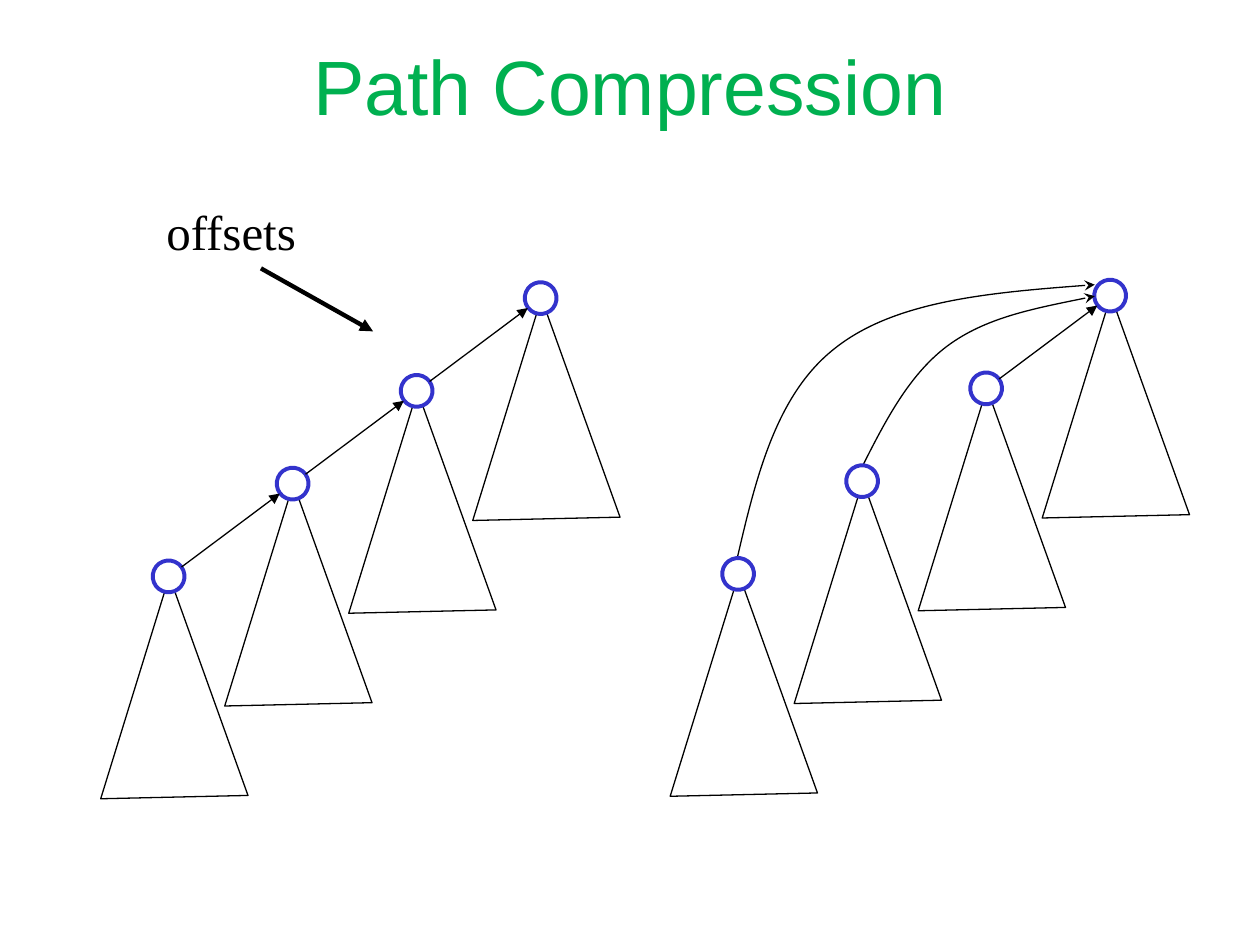
from lxml.etree import SubElement
from pptx import Presentation
from pptx.dml.color import RGBColor
from pptx.enum.shapes import MSO_CONNECTOR as Connector, MSO_SHAPE as Shape
from pptx.enum.text import MSO_ANCHOR as Anchor, MSO_AUTO_SIZE as AutoSize, PP_ALIGN as Align
from pptx.oxml.ns import qn
from pptx.util import Cm, Pt


def color(code):
    return RGBColor.from_string(code)


class Diagram:
    """Hold the style and the current slide, and draw each kind of element."""

    INK, NODE, PAPER, HEADING = "000000", "3333CC", "FFFFFF", "00B050"
    THIN, RING, BOLD = 0.75, 2.25, 2.5
    NODE_SIZE, SUBTREE_SIZE = 0.64, (2.97, 4.45)

    def __init__(self, slide):
        self.shapes = slide.shapes

    def outline(self, item, code, width, arrowhead=None):
        item.line.color.rgb = color(code)
        item.line.width = Pt(width)
        if arrowhead:
            line = item._element.spPr.find(qn("a:ln"))
            SubElement(line, qn("a:tailEnd"), type=arrowhead)

    def set_text(self, box, text, font, size, code):
        frame = box.text_frame
        frame.text = text
        frame.word_wrap = True
        paragraph = frame.paragraphs[0]
        paragraph.alignment = Align.CENTER
        style = paragraph.runs[0].font
        style.name, style.size = font, Pt(size)
        style.color.rgb = color(code)

    def title(self, text, left, top, width, height):
        heading = self.shapes.title
        heading.left, heading.top = Cm(left), Cm(top)
        heading.width, heading.height = Cm(width), Cm(height)
        self.set_text(heading, text, "Arial", 44, self.HEADING)
        heading.text_frame.vertical_anchor = Anchor.MIDDLE

    def label(self, text, left, top, width, height):
        caption = self.shapes.add_textbox(Cm(left), Cm(top), Cm(width), Cm(height))
        self.set_text(caption, text, "Times New Roman", 28, self.INK)
        caption.text_frame.auto_size = AutoSize.SHAPE_TO_FIT_TEXT

    def subtree(self, left, top):
        width, height = self.SUBTREE_SIZE
        triangle = self.shapes.add_shape(
            Shape.ISOSCELES_TRIANGLE, Cm(left), Cm(top), Cm(width), Cm(height))
        triangle.rotation = 358.7
        triangle.shadow.inherit = False
        triangle.fill.background()
        self.outline(triangle, self.INK, self.THIN)

    def node(self, left, top):
        size = Cm(self.NODE_SIZE)
        ring = self.shapes.add_shape(Shape.OVAL, Cm(left), Cm(top), size, size)
        ring.rotation = 323
        ring.shadow.inherit = False
        ring.fill.solid()
        ring.fill.fore_color.rgb = color(self.PAPER)
        self.outline(ring, self.NODE, self.RING)

    def arrow(self, start_x, start_y, end_x, end_y, width=THIN):
        pointer = self.shapes.add_connector(
            Connector.STRAIGHT, Cm(start_x), Cm(start_y), Cm(end_x), Cm(end_y))
        self.outline(pointer, self.INK, width, "triangle")
        SubElement(pointer._element.spPr, qn("a:effectLst"))

    def curve(self, points):
        start, *controls = [(Cm(x), Cm(y)) for x, y in points]
        builder = self.shapes.build_freeform(*start)
        builder.add_line_segments(controls, close=False)
        link = builder.convert_to_shape()
        link.shadow.inherit = False
        link.fill.background()
        self.outline(link, self.INK, self.THIN, "stealth")
        route = link._element.spPr.find(".//" + qn("a:path"))
        steps = route.findall(qn("a:lnTo"))
        for first in range(0, len(steps), 3):
            bezier = SubElement(route, qn("a:cubicBezTo"))
            for step in steps[first:first + 3]:
                bezier.append(step[0])
                route.remove(step)

    def forest(self, left, top, linked, shortcuts=()):
        *children, root = [(left + 2.5 * i, top - 1.87 * i) for i in range(4)]
        for x, y in (*children, root):
            self.subtree(x - 1.1, y + 0.32)
        self.node(*root)
        for points in shortcuts:
            self.curve(points)
        for x, y in children:
            self.node(x, y)
        for x, y in children[-linked:]:
            self.arrow(x + 0.58, y + 0.13, x + 2.56, y - 1.35)


def main():
    deck = Presentation()
    deck.slide_width, deck.slide_height = Cm(25.4), Cm(19.05)
    diagram = Diagram(deck.slides.add_slide(deck.slide_layouts[5]))
    diagram.title("Path Compression", 0, 0.46, 25.4, 2.49)

    diagram.forest(3.08, 11.3, linked=3)
    to_root = [
        [(17.32, 9.53), (17.81, 8.56), (18.29, 7.59), (19.08, 6.99),
         (19.86, 6.4), (20.96, 6.2), (22.07, 5.97)],
        [(14.81, 11.48), (15.21, 9.75), (15.6, 8), (16.81, 7.04),
         (18.01, 6.07), (20.04, 5.89), (22.07, 5.74)],
    ]
    diagram.forest(14.56, 11.25, linked=1, shortcuts=to_root)

    diagram.label("offsets", 2.74, 3.94, 3.84, 1.45)
    diagram.arrow(5.26, 5.41, 7.52, 6.68, Diagram.BOLD)
    deck.save("out.pptx")


if __name__ == "__main__":
    main()
